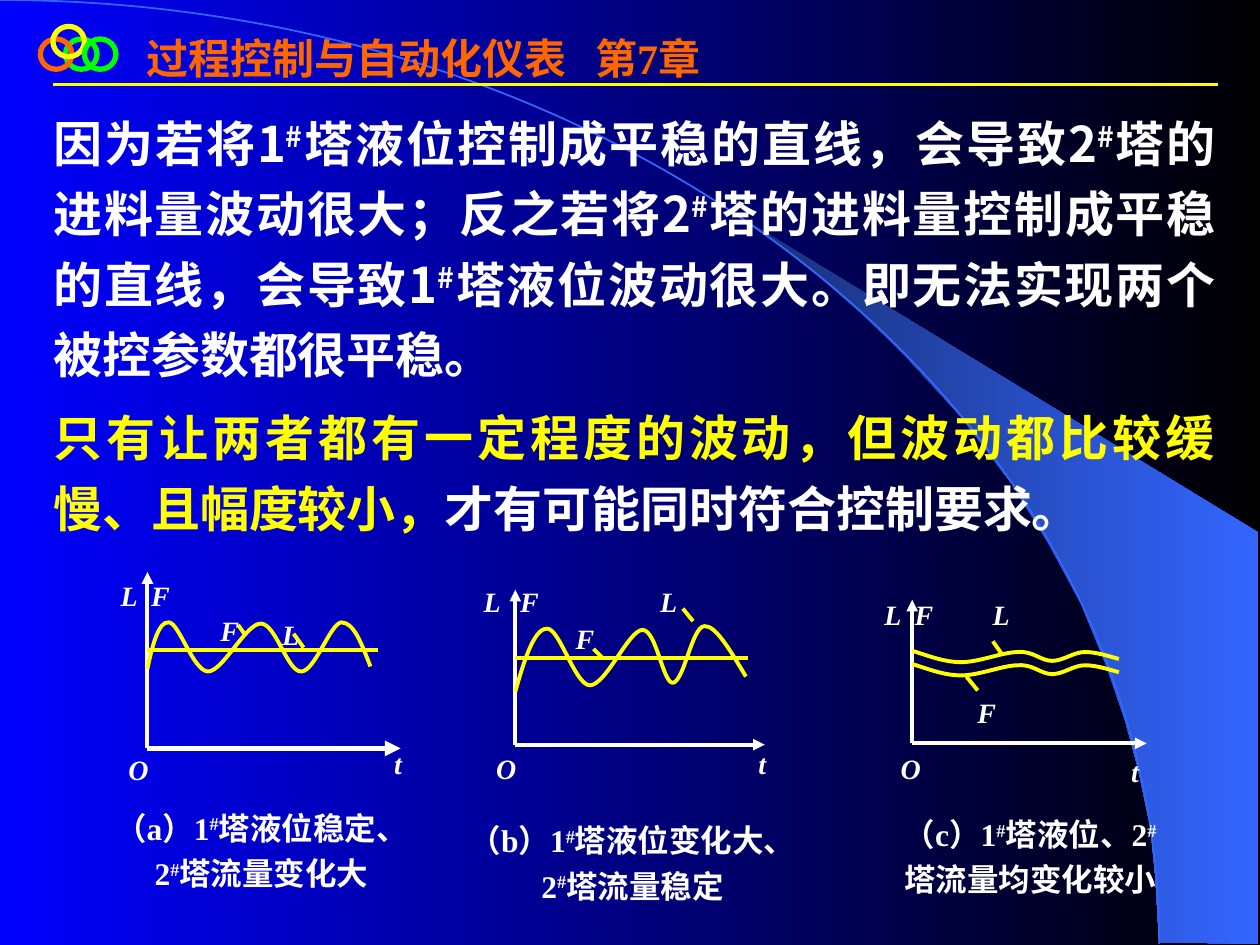
from itertools import chain

from lxml import etree
from pptx import Presentation
from pptx.dml.color import RGBColor
from pptx.enum.shapes import MSO_CONNECTOR, MSO_SHAPE
from pptx.enum.text import PP_ALIGN
from pptx.oxml.ns import qn
from pptx.util import Inches, Pt

COLS, ROWS = 100, 75
LINE, RING = MSO_CONNECTOR.STRAIGHT, MSO_SHAPE.OVAL
LEFT, MID, JUST = PP_ALIGN.LEFT, PP_ALIGN.CENTER, PP_ALIGN.JUSTIFY
WHITE, YELLOW, BLUE, ORANGE, GREEN = "FFFFFF", "FFFF00", "3366FF", "FF6600", "00FF00"
SERIF, SANS = "Times New Roman", "Noto Sans CJK SC"
TITLE = {"size": Pt(24), "bold": True, "name": SERIF}
BODY = {"size": Pt(28), "bold": True, "name": SANS}
LABEL = {"size": Pt(16), "bold": True, "italic": True, "name": SERIF}
NOTE = {"size": Pt(18), "bold": True, "name": SERIF}


def tint(code):
    return RGBColor.from_string(code)


def bend(start, *arcs):
    """List the points of a curve; each arc is two handles and an end."""
    return [start, *chain.from_iterable(arcs)]


class Board:
    def __init__(self):
        self.deck = Presentation()
        self.deck.slide_width, self.deck.slide_height = Inches(10), Inches(7.5)
        self.slide = self.deck.slides.add_slide(self.deck.slide_layouts[6])
        self.shapes = self.slide.shapes

    def at(self, *cells):
        """Turn alternating columns and rows into slide lengths."""
        sizes = (self.deck.slide_width / COLS, self.deck.slide_height / ROWS)
        return [round(cell * sizes[i % 2]) for i, cell in enumerate(cells)]

    def fade(self, fill, *codes):
        fill.gradient()
        fill.gradient_angle = 0
        for stop, code, spot in zip(fill.gradient_stops, codes, (0, 1)):
            stop.color.rgb, stop.position = tint(code), spot

    def stroke(self, shape, code, width):
        shape.line.color.rgb = tint(code)
        shape.line.width = Pt(width)

    def line(self, start, end, code=YELLOW, width=2.25, arrow=False):
        link = self.shapes.add_connector(LINE, *self.at(*start, *end))
        self.stroke(link, code, width)
        etree.SubElement(link._element.spPr, qn("a:effectLst"))
        if arrow:
            etree.SubElement(link.line._get_or_add_ln(), qn("a:tailEnd"), type="triangle")

    def ring(self, x, y, code):
        oval = self.shapes.add_shape(RING, *self.at(x, y, 2.5, 2.4))
        oval.shadow.inherit = False
        oval.fill.background()
        self.stroke(oval, code, 3)

    def outline(self, points, close=False):
        spots = [self.at(*p) for p in points]
        pen = self.shapes.build_freeform(*spots[0])
        pen.add_line_segments(spots[1:], close=close)
        shape = pen.convert_to_shape()
        shape.shadow.inherit = False
        return shape

    def curve(self, points, code=YELLOW, width=2.25):
        """Draw the outline, then merge each three segments into one arc."""
        shape = self.outline(points)
        legs = list(shape._element.iter(qn("a:lnTo")))
        for i in range(0, len(legs), 3):
            arc = etree.Element(qn("a:cubicBezTo"))
            legs[i].addprevious(arc)
            for leg in legs[i:i + 3]:
                arc.append(leg[0])
                leg.getparent().remove(leg)
        shape.fill.background()
        self.stroke(shape, code, width)

    def text(self, box, paras, style, align=LEFT, space=1.2, gap=0, tab=None):
        """Each para is a list of (text, colour, changes); # is raised."""
        frame = self.shapes.add_textbox(*self.at(*box)).text_frame
        frame.word_wrap = True
        for i, runs in enumerate(paras):
            para = frame.add_paragraph() if i else frame.paragraphs[0]
            para.alignment, para.line_spacing = align, space
            para.space_before = Pt(gap if i else 0)
            props = para._p.get_or_add_pPr()
            props.set("hangingPunct", "0")
            if tab:
                stops = etree.SubElement(props, qn("a:tabLst"))
                etree.SubElement(stops, qn("a:tab"), pos=str(self.at(tab)[0]), algn="l")
            for words, code, change in runs:
                for piece in words.replace("#", "|#|").split("|"):
                    self.run(para, piece, code, style | change)

    def run(self, para, words, code, style):
        run = para.add_run()
        run.text = words
        for key, value in style.items():
            setattr(run.font, key, value)
        run.font.color.rgb = tint(code)
        props = run._r.get_or_add_rPr()
        etree.SubElement(props, qn("a:ea"), typeface=SANS)
        if words == "#":
            props.set("baseline", "30000")

    def graph(self, root, top, right, base, tab, labels, marks, curves, box, note):
        self.line(root, (root[0], top), WHITE, arrow=True)
        self.line(root, (right, root[1]), WHITE, base, arrow=True)
        for points in curves:
            self.curve(points)
        for start, end in marks:
            self.line(start, end)
        for x, y, wide, words in labels:
            stop = tab if "\t" in words else None
            self.text((x, y, wide, 2.6), [[(words, WHITE, {})]], LABEL, tab=stop)
        self.text(box, [[(note, WHITE, {})]], NOTE, MID)


def ripple(y):
    """The slow, shallow wave that both values follow in graph c."""
    return bend((72.4, y), ((73.7, y + .4), (74.9, y + .9), (76.3, y + .9)),
                ((77.7, y + .9), (79.6, y + .1), (80.8, y + .1)),
                ((82, y), (82.6, y + .8), (83.5, y + .8)),
                ((84.4, y + .8), (85.2, y + .1), (86.1, y + .1)),
                ((87, y + .1), (87.9, y + .4), (88.8, y + .65)))


GRAPHS = [
    dict(root=(11.7, 59.4), top=45.4, right=31.8, base=3, tab=2.4,
         labels=[(8.6, 44.9, 6.1, "L\tF"), (16.5, 47.7, 3.7, "F"), (21.4, 48, 3.5, "L"),
                 (30.3, 58.2, 3, "t"), (9.2, 58.7, 3.5, "O")],
         marks=[((11.7, 51.6), (30, 51.6)), ((18.9, 49.6), (19.4, 50.3)),
                ((23.3, 50.3), (24.1, 51.4))],
         curves=[bend((11.7, 53.1), ((12.1, 51.2), (12.6, 49.3), (13.4, 49.4)),
                      ((14.2, 49.4), (15.3, 53.2), (16.5, 53.3)),
                      ((17.7, 53.3), (19.5, 49.5), (20.7, 49.5)),
                      ((21.9, 49.5), (22.8, 53.3), (23.9, 53.3)),
                      ((25, 53.3), (26.2, 49.5), (27.1, 49.4)),
                      ((28.1, 49.4), (28.7, 51.1), (29.4, 52.9)))],
         box=(7.7, 63.1, 26.1, 9), note="（a）1#塔液位稳定、2#塔流量变化大"),
    dict(root=(40.9, 59.1), top=46.8, right=60.7, base=2.25, tab=2.9,
         labels=[(37.4, 45.4, 9, "L\tF"), (51.4, 45.4, 3.4, "L"), (44.7, 48.3, 3.6, "F"),
                 (59.2, 58.2, 3.4, "t"), (38.4, 58.6, 3.4, "O")],
         marks=[((40.9, 52.25), (59.4, 52.25)), ((47.1, 51.5), (47.8, 52.2)),
                ((54.2, 48.3), (55, 49.3))],
         curves=[bend((40.9, 54.9), ((41.6, 52.4), (42.4, 49.9), (43.4, 49.9)),
                      ((44.4, 49.8), (45.6, 54.3), (46.8, 54.4)),
                      ((48.1, 54.4), (49.9, 50), (51, 50)),
                      ((52.1, 50), (52.6, 54.2), (53.4, 54.2)),
                      ((54.3, 54.1), (54.9, 49.8), (55.9, 49.7)),
                      ((56.8, 49.6), (58, 51.7), (59.2, 53.7)))],
         box=(35.7, 64.1, 29, 9), note="（b）1#塔液位变化大、2#塔流量稳定"),
    dict(root=(72.4, 59), top=47.6, right=91, base=2.25, tab=2.4,
         labels=[(69.2, 46.4, 7.6, "L\tF"), (77.8, 46.4, 3, "L"), (76.6, 54.2, 3.3, "F"),
                 (88.8, 58.9, 3, "t"), (70.5, 58.6, 3, "O")],
         marks=[((76.7, 53.7), (77.6, 54.8)), ((78.8, 50.9), (79.5, 51.9))],
         curves=[ripple(52.7), ripple(51.65)],
         box=(70.2, 63.6, 23.1, 9), note="（c）1#塔液位、2#塔流量均变化较小"),
]
WEDGE = [(92, 74.8), (99.9, 74.9), (99.9, 42.3), (58.9, 17.3), (62.4, 19.9), (65.3, 22.2),
         (68.5, 25), (71.6, 28), (76.2, 33), (80.3, 38.4), (83.2, 43.1), (85.8, 47.9),
         (87.8, 52.8), (89.3, 57.2), (90.3, 60.9), (91.3, 65.6), (91.7, 69.6)]
FACTS = ("因为若将1#塔液位控制成平稳的直线，会导致2#塔的进料量波动很大；"
         "反之若将2#塔的进料量控制成平稳的直线，会导致1#塔液位波动很大。"
         "即无法实现两个被控参数都很平稳。")
RULE = "只有让两者都有一定程度的波动，但波动都比较缓慢、且幅度较小，"
GOAL = "才有可能同时符合控制要求。"


def main():
    board = Board()
    board.fade(board.slide.background.fill, "0000FF", "000000")
    wedge = board.outline(WEDGE, close=True)
    board.fade(wedge.fill, "182F76", BLUE)
    wedge.line.fill.background()
    board.curve(bend((0, 0), ((50.8, 0), (92, 33.5), (92, 74.9))), BLUE, 1)
    board.line((4.2, 6.7), (96.7, 6.7), width=1.5)
    for x, y, code in ((5.2, 3.1, GREEN), (3.2, 3.1, ORANGE), (4.2, 2.1, YELLOW), (6.7, 3.1, GREEN)):
        board.ring(x, y, code)
    board.text((10.65, 2.1, 84.2, 5), [[("过程控制与自动化仪表\t第7章", ORANGE, {})]],
               TITLE, space=1.0, tab=35.6)
    serif = {"name": SERIF}
    board.text((3.25, 7.55, 94.2, 35.6),
               [[(FACTS, WHITE, {})], [(RULE, YELLOW, serif), (GOAL, WHITE, serif)]],
               BODY, JUST, gap=7)
    for graph in GRAPHS:
        board.graph(**graph)
    board.deck.save("out.pptx")


if __name__ == "__main__":
    main()
